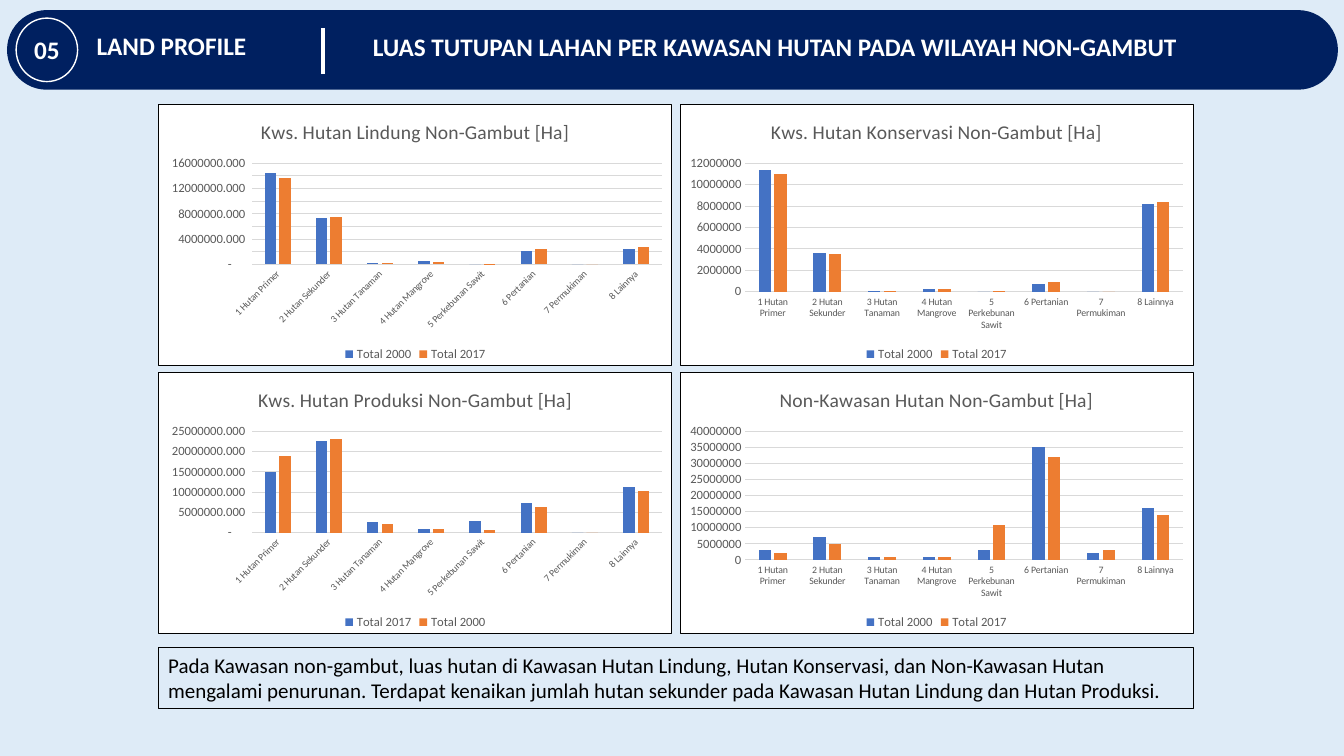
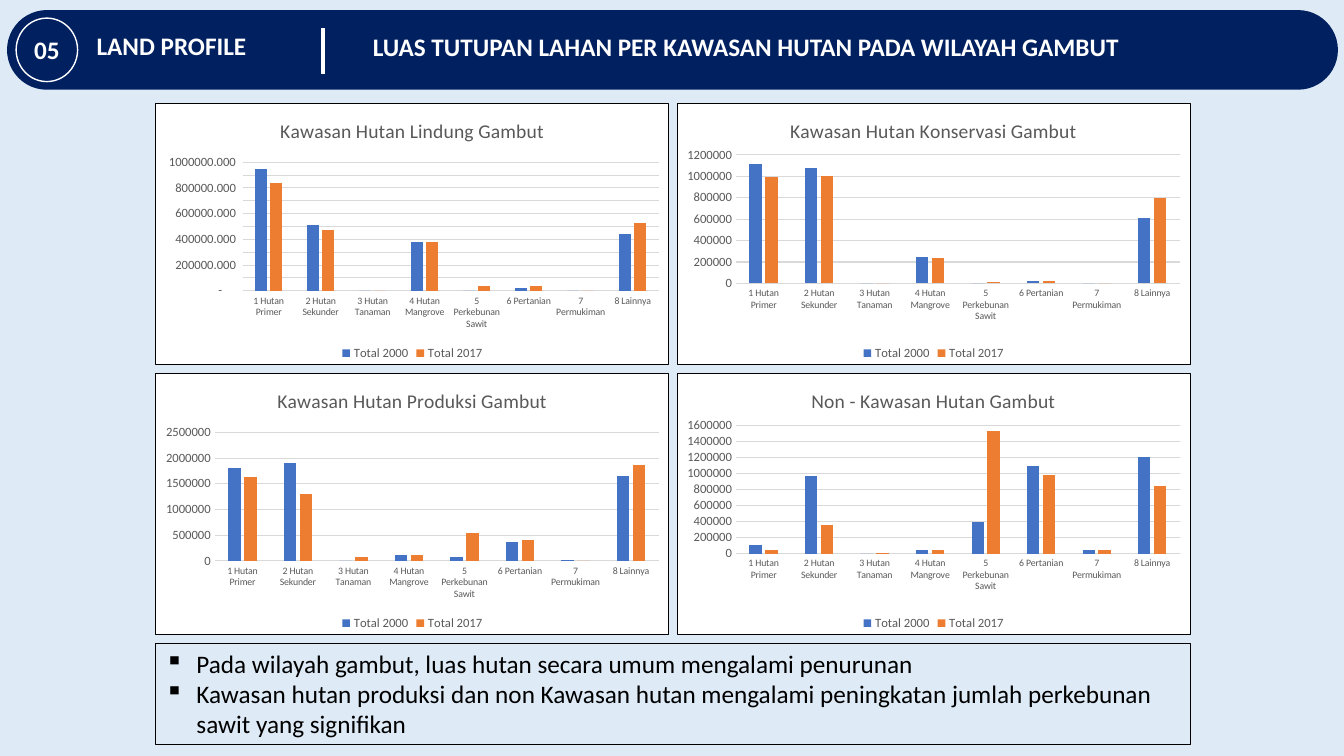
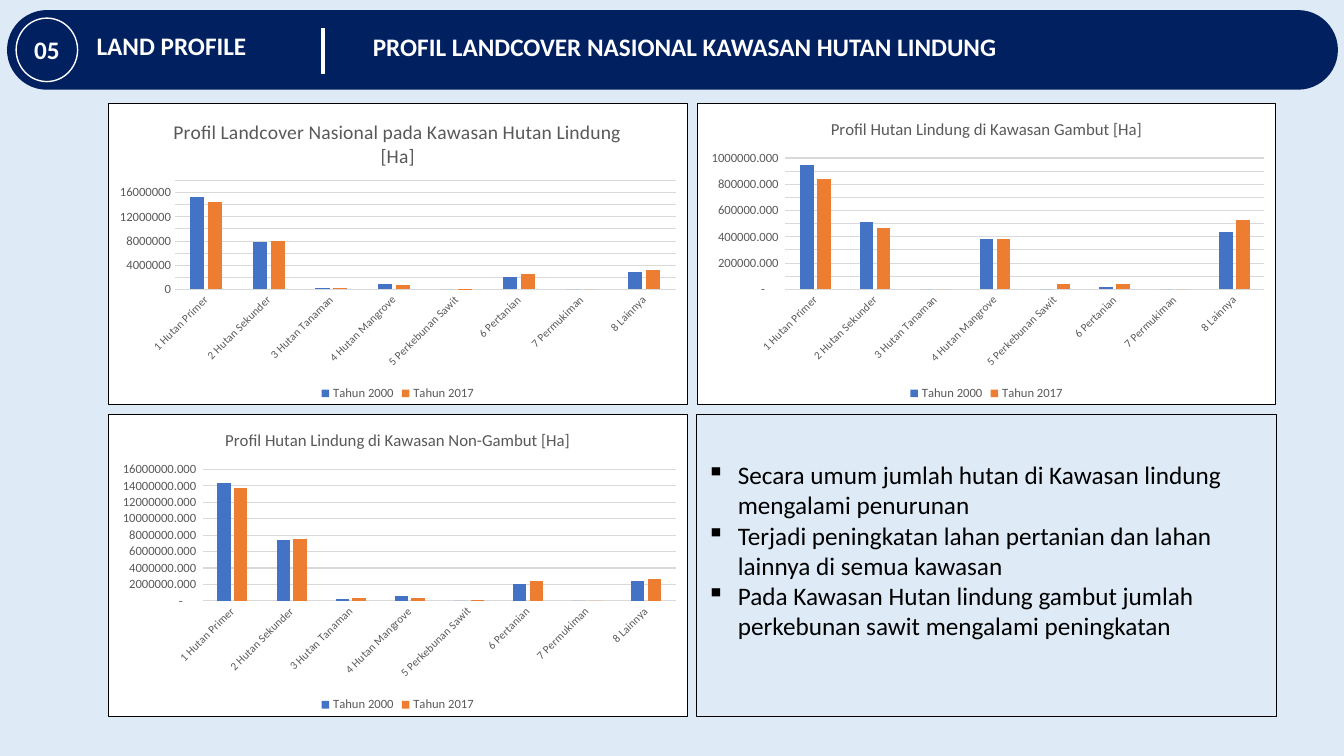
from lxml.etree import SubElement
from pptx import Presentation
from pptx.chart.data import CategoryChartData
from pptx.dml.color import RGBColor
from pptx.enum.chart import XL_CHART_TYPE, XL_LEGEND_POSITION, XL_TICK_MARK
from pptx.enum.shapes import MSO_CONNECTOR, MSO_SHAPE
from pptx.enum.text import MSO_ANCHOR, PP_ALIGN
from pptx.oxml import parse_xml
from pptx.oxml.ns import nsdecls, qn
from pptx.util import Inches, Pt

NAVY = RGBColor(0x00, 0x20, 0x60)
PALE_BLUE = RGBColor(0xDE, 0xEB, 0xF7)
WHITE = RGBColor(0xFF, 0xFF, 0xFF)
BLACK = RGBColor(0x00, 0x00, 0x00)
GREY = RGBColor(0x59, 0x59, 0x59)
LIGHT_GREY = RGBColor(0xD9, 0xD9, 0xD9)
SERIES_COLOURS = [RGBColor(0x44, 0x72, 0xC4), RGBColor(0xED, 0x7D, 0x31)]
FONT = "Calibri"

PLAIN = "0"
DECIMAL = '_(* #.##0_);_(* \\(#.##0\\);_(* "-"??_);_('
MILLION = 1_000_000

CATEGORIES = ["1 Hutan Primer", "2 Hutan Sekunder", "3 Hutan Tanaman", "4 Hutan Mangrove",
              "5 Perkebunan Sawit", "6 Pertanian", "7 Permukiman", "8 Lainnya"]
TOTALS = ["Total 2000", "Total 2017"]
YEARS = ["Tahun 2000", "Tahun 2017"]

# Values in millions of hectares; two slides show these same figures
LINDUNG_NON_GAMBUT = [[14.4, 7.4, 0.2, 0.6, 0, 2.1, 0, 2.4],
                      [13.7, 7.5, 0.3, 0.4, 0.1, 2.4, 0, 2.7]]
LINDUNG_GAMBUT = [[0.95, 0.51, 0, 0.38, 0, 0.02, 0, 0.44],
                  [0.84, 0.47, 0, 0.38, 0.04, 0.04, 0, 0.53]]

# Chart: title, title size, series names, values, axis top, axis step, number format, slanted labels
# Grid: left, top, cell width, cell height, column gap, row gap
PAGES = [
    {
        "title": "LUAS TUTUPAN LAHAN PER KAWASAN HUTAN PADA WILAYAH NON-GAMBUT",
        "grid": (1.57, 1.03, 5.1, 2.6, 0.07, 0.06),
        "label_size": 7,
        "charts": [
            ("Kws. Hutan Lindung Non-Gambut [Ha]", 14, TOTALS, LINDUNG_NON_GAMBUT,
             16, 2, DECIMAL, True),
            ("Kws. Hutan Konservasi Non-Gambut [Ha]", 14, TOTALS,
             [[11.4, 3.6, 0.1, 0.3, 0, 0.7, 0, 8.2], [11, 3.5, 0.1, 0.3, 0.1, 0.9, 0, 8.4]],
             12, 2, PLAIN, False),
            ("Kws. Hutan Produksi Non-Gambut [Ha]", 14, TOTALS[::-1],
             [[14.9, 22.5, 2.7, 0.8, 2.9, 7.3, 0, 11.2],
              [18.8, 23.1, 2.1, 0.9, 0.6, 6.3, 0, 10.3]],
             25, 5, DECIMAL, True),
            ("Non-Kawasan Hutan Non-Gambut [Ha]", 14, TOTALS,
             [[3, 7, 1, 1, 3, 35, 2, 16], [2, 5, 1, 1, 11, 32, 3, 14]],
             40, 5, PLAIN, False),
        ],
        "note": {
            "top": 6.42, "height": 0.61, "size": 15, "bullets": False,
            "lines": ["Pada Kawasan non-gambut, luas hutan di Kawasan Hutan Lindung, Hutan "
                      "Konservasi, dan Non-Kawasan Hutan mengalami penurunan. Terdapat kenaikan "
                      "jumlah hutan sekunder pada Kawasan Hutan Lindung dan Hutan Produksi."],
        },
    },
    {
        "title": "LUAS TUTUPAN LAHAN PER KAWASAN HUTAN PADA WILAYAH GAMBUT",
        "grid": (1.54, 1.02, 5.1, 2.6, 0.07, 0.08),
        "label_size": 7,
        "charts": [
            ("Kawasan Hutan Lindung Gambut", 14, TOTALS, LINDUNG_GAMBUT,
             1, 0.1, DECIMAL, False),
            ("Kawasan Hutan Konservasi Gambut", 14, TOTALS,
             [[1.11, 1.08, 0, 0.25, 0, 0.02, 0, 0.61], [0.99, 1, 0, 0.24, 0.01, 0.02, 0, 0.8]],
             1.2, 0.2, PLAIN, False),
            ("Kawasan Hutan Produksi Gambut", 14, TOTALS,
             [[1.81, 1.91, 0, 0.12, 0.08, 0.36, 0.01, 1.65],
              [1.63, 1.3, 0.08, 0.11, 0.54, 0.41, 0, 1.86]],
             2.5, 0.5, PLAIN, False),
            ("Non - Kawasan Hutan Gambut", 14, TOTALS,
             [[0.1, 0.97, 0, 0.05, 0.39, 1.09, 0.05, 1.2],
              [0.05, 0.35, 0.01, 0.04, 1.52, 0.98, 0.05, 0.84]],
             1.6, 0.2, PLAIN, False),
        ],
        "note": {
            "top": 6.38, "height": 1.01, "size": 18, "bullets": True,
            "lines": ["Pada wilayah gambut, luas hutan secara umum mengalami penurunan",
                      "Kawasan hutan produksi dan non Kawasan hutan mengalami peningkatan jumlah "
                      "perkebunan sawit yang signifikan"],
        },
    },
    {
        "title": "PROFIL LANDCOVER NASIONAL KAWASAN HUTAN LINDUNG",
        "grid": (1.07, 1.02, 5.75, 3, 0.09, 0.09),
        "label_size": 8,
        "charts": [
            ("Profil Landcover Nasional pada Kawasan Hutan Lindung [Ha]", 14, YEARS,
             [[15.3, 7.9, 0.2, 0.9, 0, 2.1, 0, 2.8], [14.5, 8, 0.3, 0.8, 0.1, 2.5, 0, 3.2]],
             18, 2, PLAIN, True),
            ("Profil Hutan Lindung di Kawasan Gambut [Ha]", 12, YEARS, LINDUNG_GAMBUT,
             1, 0.1, DECIMAL, True),
            ("Profil Hutan Lindung di Kawasan Non-Gambut [Ha]", 12, YEARS, LINDUNG_NON_GAMBUT,
             16, 2, DECIMAL, True),
        ],
        # Without a top, the note fills the free grid cell
        "note": {
            "size": 18, "bullets": True,
            "lines": ["Secara umum jumlah hutan di Kawasan lindung mengalami penurunan",
                      "Terjadi peningkatan lahan pertanian dan lahan lainnya di semua kawasan",
                      "Pada Kawasan Hutan lindung gambut jumlah perkebunan sawit mengalami "
                      "peningkatan"],
        },
    },
]


def inches(*lengths):
    return [Inches(length) for length in lengths]


def set_font(font, size, colour, bold=False):
    font.name, font.size, font.bold = FONT, Pt(size), bold
    font.color.rgb = colour


def add_heading(page, text, left, top, width):
    box = page.shapes.add_textbox(*inches(left, top, width, 0.4))
    box.text_frame.word_wrap = False
    para = box.text_frame.paragraphs[0]
    para.text = text
    set_font(para.font, 18, WHITE, bold=True)
    return box


def add_navy_shape(page, kind, *place):
    shape = page.shapes.add_shape(kind, *inches(*place))
    shape.shadow.inherit = False
    shape.fill.solid()
    shape.fill.fore_color.rgb = NAVY
    return shape


def build_layout(layout, page):
    """Draw the shared header band and move it from the page to the layout."""
    tree = layout.shapes._spTree
    for placeholder in list(layout.placeholders):
        tree.remove(placeholder._element)
    layout.background.fill.solid()
    layout.background.fill.fore_color.rgb = PALE_BLUE

    # Band
    band = add_navy_shape(page, MSO_SHAPE.ROUNDED_RECTANGLE, 0.07, 0.1, 13.2, 0.79)
    band.adjustments[0] = 0.5
    band.line.fill.background()

    # Section number
    badge = add_navy_shape(page, MSO_SHAPE.OVAL, 0.16, 0.18, 0.61, 0.63)
    badge.line.color.rgb = WHITE
    badge.line.width = Pt(1)
    frame = badge.text_frame
    frame.margin_left = frame.margin_right = frame.margin_top = frame.margin_bottom = 0
    frame.vertical_anchor = MSO_ANCHOR.MIDDLE
    para = frame.paragraphs[0]
    para.text = "05"
    para.alignment = PP_ALIGN.CENTER
    set_font(para.font, 18, WHITE, bold=True)

    # Section name and divider
    section = add_heading(page, "LAND PROFILE", 0.86, 0.25, 1.7)
    divider = page.shapes.add_connector(MSO_CONNECTOR.STRAIGHT, *inches(3.2, 0.28, 3.2, 0.73))
    divider.line.color.rgb = WHITE
    divider.line.width = Pt(3)
    SubElement(divider._element.spPr, qn("a:effectLst"))

    for shape in (band, badge, section, divider):
        tree.append(shape._element)


def add_column_chart(page, place, label_size, title, title_size, names, values,
                     top, step, number_format, slanted):
    data = CategoryChartData()
    data.categories = CATEGORIES
    for name, numbers in zip(names, values):
        data.add_series(name, [round(number * MILLION) for number in numbers])
    chart = page.shapes.add_chart(XL_CHART_TYPE.COLUMN_CLUSTERED, *inches(*place), data).chart
    set_font(chart.font, 9, GREY)

    # White panel with a thin black border
    chart._chartSpace.find(qn("c:chart")).addnext(parse_xml(
        f'<c:spPr {nsdecls("c", "a")}><a:solidFill><a:srgbClr val="{WHITE}"/></a:solidFill>'
        f'<a:ln w="{Pt(0.75)}"><a:solidFill><a:srgbClr val="{BLACK}"/></a:solidFill></a:ln>'
        '</c:spPr>'))

    # Title and legend
    chart.has_title = True
    para = chart.chart_title.text_frame.paragraphs[0]
    para.text = title
    set_font(para.font, title_size, GREY)
    chart.chart_title.include_in_layout = False
    chart.has_legend = True
    chart.legend.position = XL_LEGEND_POSITION.BOTTOM
    chart.legend.include_in_layout = False
    set_font(chart.legend.font, 9, GREY)

    # Columns
    plot = chart.plots[0]
    plot.gap_width, plot.overlap, plot.vary_by_categories = 219, -27, False
    for series, colour in zip(plot.series, SERIES_COLOURS):
        series.format.fill.solid()
        series.format.fill.fore_color.rgb = colour

    # Axes
    category_axis, value_axis = chart.category_axis, chart.value_axis
    for axis, size in ((category_axis, label_size), (value_axis, 9)):
        axis.major_tick_mark = axis.minor_tick_mark = XL_TICK_MARK.NONE
        set_font(axis.tick_labels.font, size, GREY)
    value_axis.format.line.fill.background()
    value_axis.minimum_scale = 0
    value_axis.maximum_scale = round(top * MILLION)
    value_axis.major_unit = round(step * MILLION)
    value_axis.tick_labels.number_format = number_format
    value_axis.tick_labels.number_format_is_linked = False
    for line in (category_axis.format.line, value_axis.major_gridlines.format.line):
        line.color.rgb = LIGHT_GREY
        line.width = Pt(0.75)
    label_body = category_axis._element.find(qn("c:txPr")).find(qn("a:bodyPr"))
    label_body.set("rot", "-2700000" if slanted else "0")
    label_body.set("vert", "horz")


def add_note(page, place, lines, size, bullets, in_cell):
    box = page.shapes.add_textbox(*inches(*place))
    box.line.color.rgb = BLACK
    box.line.width = Pt(1 if in_cell else 0.75)
    frame = box.text_frame
    frame.word_wrap = True
    if in_cell:
        frame.vertical_anchor = MSO_ANCHOR.MIDDLE
        frame.margin_bottom = Inches(0.35)
    for index, line in enumerate(lines):
        para = frame.add_paragraph() if index else frame.paragraphs[0]
        para.text = line
        if bullets:
            properties = para._p.get_or_add_pPr()
            properties.set("marL", str(Inches(0.31)))
            properties.set("indent", str(-Inches(0.31)))
            SubElement(properties, qn("a:buChar")).set("char", "▪")
        set_font(para.font, size, BLACK)


def main():
    deck = Presentation()
    deck.slide_width, deck.slide_height = inches(13.33, 7.5)
    layout = deck.slide_layouts[6]

    for number, content in enumerate(PAGES):
        page = deck.slides.add_slide(layout)
        if number == 0:
            build_layout(layout, page)
        add_heading(page, content["title"], 3.6, 0.26, 8.26)

        # Two by two grid, filled row by row
        left, top, width, height, column_gap, row_gap = content["grid"]
        cells = [(left + column * (width + column_gap), top + row * (height + row_gap),
                  width, height) for row in range(2) for column in range(2)]
        for cell, chart in zip(cells, content["charts"]):
            add_column_chart(page, cell, content["label_size"], *chart)

        # Note under the grid or in its last cell
        note = content["note"]
        in_cell = "top" not in note
        place = cells[-1] if in_cell else (left, note["top"], 2 * width + column_gap,
                                           note["height"])
        add_note(page, place, note["lines"], note["size"], note["bullets"], in_cell)

    deck.save("out.pptx")


if __name__ == "__main__":
    main()
